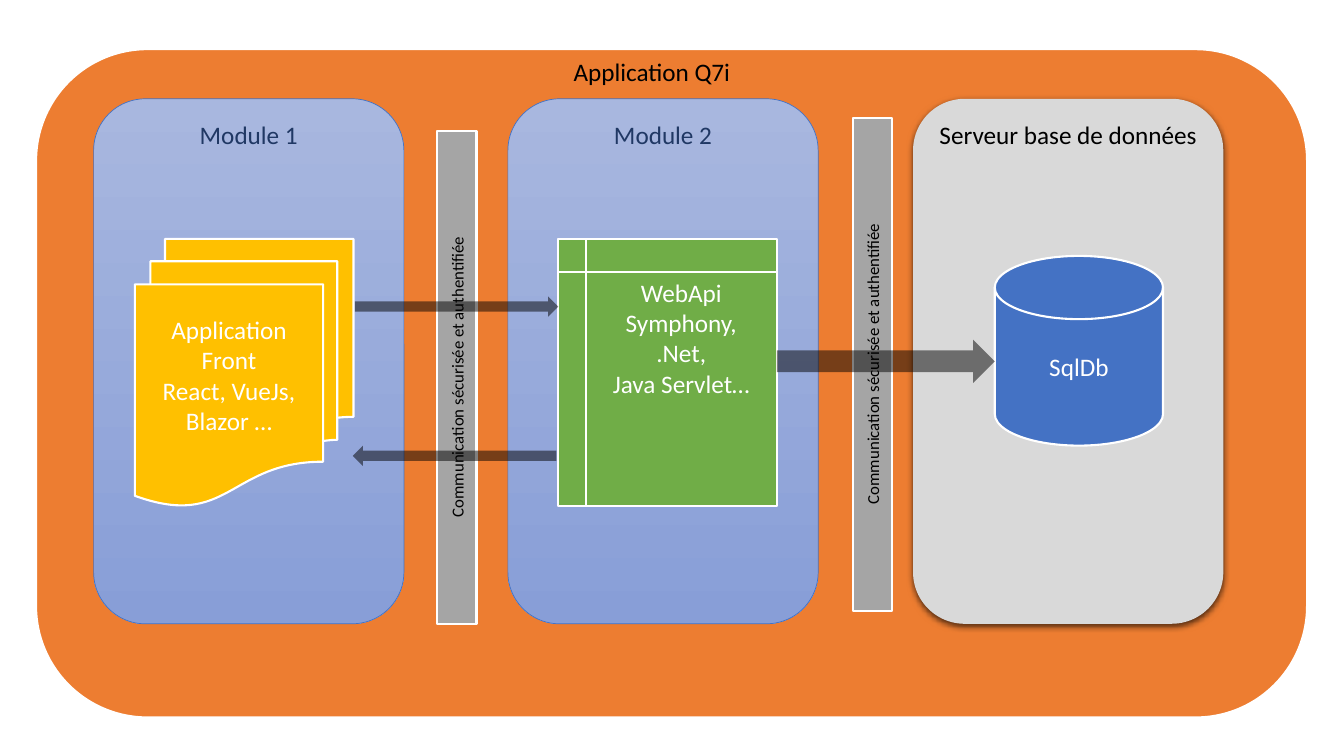
"""Build the architecture slide of a modular web application."""
from dataclasses import dataclass
from typing import Optional

from lxml.etree import SubElement
from pptx import Presentation
from pptx.dml.color import RGBColor
from pptx.enum.shapes import MSO_SHAPE
from pptx.enum.text import MSO_ANCHOR, MSO_AUTO_SIZE, PP_ALIGN
from pptx.oxml.ns import qn
from pptx.util import Cm, Pt

ORANGE = RGBColor(0xED, 0x7D, 0x31)
BLUE = RGBColor(0x44, 0x72, 0xC4)
NAVY = RGBColor(0x20, 0x38, 0x64)
PALE_BLUE = RGBColor(0xA8, 0xB7, 0xDF)
SOFT_BLUE = RGBColor(0x88, 0x9E, 0xD7)
GREEN = RGBColor(0x70, 0xAD, 0x47)
YELLOW = RGBColor(0xFF, 0xC0, 0x00)
GREY = RGBColor(0xA5, 0xA5, 0xA5)
LIGHT_GREY = RGBColor(0xD9, 0xD9, 0xD9)
WHITE = RGBColor(0xFF, 0xFF, 0xFF)
BLACK = RGBColor(0x00, 0x00, 0x00)

PANEL_TOP, PANEL_WIDTH, PANEL_HEIGHT = 2.49, 7.82, 13.23
CHANNEL_TEXT = "Communication sécurisée et authentifiée"


@dataclass(frozen=True)
class Block:
    kind: MSO_SHAPE
    left: float
    top: float
    width: float
    height: float
    fill: RGBColor
    line: Optional[RGBColor] = WHITE
    line_width: float = 1.5
    text: str = ""
    text_color: RGBColor = WHITE
    anchor: MSO_ANCHOR = MSO_ANCHOR.MIDDLE
    bottom_margin: float = 0.13
    fill_end: Optional[RGBColor] = None
    shadow: bool = False


@dataclass(frozen=True)
class Channel:
    left: float
    top: float


@dataclass(frozen=True)
class Arrow:
    left: float
    top: float
    width: float
    height: float
    rotation: float = 0


def module_panel(left: float, text: str) -> Block:
    return Block(MSO_SHAPE.ROUNDED_RECTANGLE, left, PANEL_TOP, PANEL_WIDTH, PANEL_HEIGHT,
                 PALE_BLUE, BLUE, 0.5, text, NAVY, MSO_ANCHOR.TOP, fill_end=SOFT_BLUE)


FRAME = Block(MSO_SHAPE.ROUNDED_RECTANGLE, 0.91, 1.24, 32.03, 16.84, ORANGE)
PANELS = [
    module_panel(2.36, "Module 1"),
    module_panel(12.8, "Module 2"),
    Block(MSO_SHAPE.ROUNDED_RECTANGLE, 23.01, PANEL_TOP, PANEL_WIDTH, PANEL_HEIGHT, LIGHT_GREY,
          None, text="Serveur base de données", text_color=BLACK, anchor=MSO_ANCHOR.TOP,
          shadow=True),
]
DATABASE = Block(MSO_SHAPE.FLOWCHART_MAGNETIC_DISK, 25.07, 6.45, 4.24, 4.78, BLUE, text="SqlDb")
WEB_API = Block(MSO_SHAPE.FLOWCHART_INTERNAL_STORAGE, 14.07, 6.02, 5.51, 6.73, GREEN,
                text="WebApi\nSymphony,\n.Net,\nJava Servlet…", anchor=MSO_ANCHOR.TOP)
FRONT = Block(MSO_SHAPE.FLOWCHART_MULTIDOCUMENT, 3.4, 6.02, 5.51, 6.73, YELLOW,
              text="Application Front\nReact, VueJs, Blazor …", bottom_margin=0.89)
CHANNELS = [Channel(11.02, 3.3), Channel(21.49, 2.97)]
ARROWS = [
    Arrow(8.94, 7.47, 5.13, 0.51),
    Arrow(8.89, 11.23, 5.13, 0.51, 180),
    Arrow(19.58, 8.56, 5.49, 1.09),
]


def write_text(shape, text: str, size: float, color: RGBColor, align: PP_ALIGN) -> None:
    shape.text_frame.text = text
    for para in shape.text_frame.paragraphs:
        para.alignment = align
        for span in para.runs:
            span.font.name = "Calibri"
            span.font.size = Pt(size)
            span.font.color.rgb = color


def add_soft_shadow(shape) -> None:
    effects = shape.element.spPr.find(qn("a:effectLst"))
    shadow = SubElement(effects, qn("a:outerShdw"), blurRad=str(Pt(4.5)), dist=str(Pt(1.5)),
                        dir="5400000", algn="ctr", rotWithShape="0")
    color = SubElement(shadow, qn("a:srgbClr"), val=str(BLACK))
    SubElement(color, qn("a:alpha"), val="63000")


def draw_block(page, block: Block) -> None:
    box = page.shapes.add_shape(block.kind, Cm(block.left), Cm(block.top),
                                Cm(block.width), Cm(block.height))
    box.shadow.inherit = False
    if block.fill_end is None:
        box.fill.solid()
        box.fill.fore_color.rgb = block.fill
    else:
        box.fill.gradient()
        box.fill.gradient_angle = 270
        for stop, color in zip(box.fill.gradient_stops, (block.fill, block.fill_end)):
            stop.color.rgb = color
    if block.line is None:
        box.line.fill.background()
    else:
        box.line.color.rgb = block.line
        box.line.width = Pt(block.line_width)
    if block.shadow:
        add_soft_shadow(box)
    if block.text:
        box.text_frame.vertical_anchor = block.anchor
        box.text_frame.margin_bottom = Cm(block.bottom_margin)
        write_text(box, block.text, 18, block.text_color, PP_ALIGN.CENTER)


def draw_channel(page, channel: Channel) -> None:
    draw_block(page, Block(MSO_SHAPE.RECTANGLE, channel.left, channel.top, 0.99, 12.42, GREY))
    label = page.shapes.add_textbox(Cm(channel.left - 3.02), Cm(channel.top + 5.3),
                                    Cm(7.82), Cm(1.55))
    label.rotation = 270
    label.text_frame.word_wrap = True
    write_text(label, CHANNEL_TEXT, 12, BLACK, PP_ALIGN.LEFT)


def draw_arrow(page, arrow: Arrow) -> None:
    shape = page.shapes.add_shape(MSO_SHAPE.RIGHT_ARROW, Cm(arrow.left), Cm(arrow.top),
                                  Cm(arrow.width), Cm(arrow.height))
    shape.rotation = arrow.rotation
    shape.shadow.inherit = False
    shape.line.fill.background()
    shape.fill.solid()
    shape.fill.fore_color.rgb = BLACK
    color = shape.element.spPr.find(qn("a:solidFill")).find(qn("a:srgbClr"))
    SubElement(color, qn("a:alpha"), val="50000")


def place_title(page) -> None:
    title = page.shapes.title
    title.left, title.top, title.width, title.height = Cm(14.2), Cm(1.3), Cm(10.85), Cm(1.02)
    title.text_frame.vertical_anchor = MSO_ANCHOR.TOP
    title.text_frame.auto_size = MSO_AUTO_SIZE.NONE
    write_text(title, "Application Q7i", 18, BLACK, PP_ALIGN.LEFT)
    title.element.getparent().append(title.element)


def main() -> None:
    deck = Presentation()
    deck.slide_width, deck.slide_height = Cm(33.87), Cm(19.05)
    page = deck.slides.add_slide(deck.slide_layouts.get_by_name("Title Only"))
    for block in (FRAME, *PANELS, DATABASE, WEB_API):
        draw_block(page, block)
    for channel in CHANNELS:
        draw_channel(page, channel)
    for arrow in ARROWS:
        draw_arrow(page, arrow)
    place_title(page)
    draw_block(page, FRONT)
    deck.save("out.pptx")


if __name__ == "__main__":
    main()
